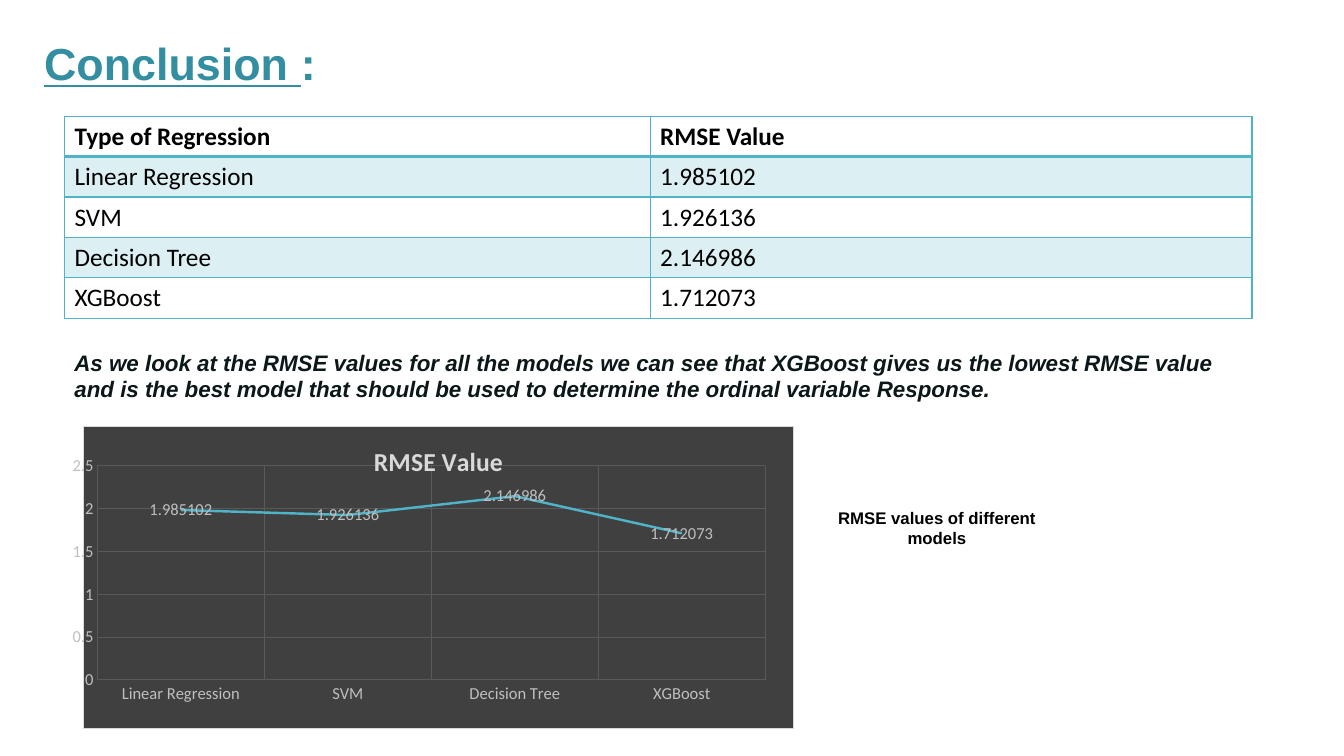
from dataclasses import dataclass

from lxml.etree import SubElement
from pptx import Presentation
from pptx.chart.data import CategoryChartData
from pptx.dml.color import RGBColor
from pptx.enum.chart import XL_CHART_TYPE as ChartType
from pptx.enum.chart import XL_LABEL_POSITION as LabelPosition
from pptx.enum.chart import XL_MARKER_STYLE as MarkerStyle
from pptx.enum.chart import XL_TICK_MARK as TickMark
from pptx.enum.text import PP_ALIGN as Align
from pptx.oxml import parse_xml
from pptx.oxml.ns import nsdecls, qn
from pptx.util import Emu, Inches, Pt

TEAL = RGBColor(0x50, 0xB4, 0xC8)
PALE_TEAL = RGBColor(0xDC, 0xF0, 0xF4)
DEEP_TEAL = RGBColor(0x32, 0x8E, 0xA0)
INK = RGBColor(0x0B, 0x17, 0x19)
BLACK = RGBColor(0, 0, 0)
CHARCOAL = RGBColor(0x40, 0x40, 0x40)
GRID_GRAY = RGBColor(0x59, 0x59, 0x59)
LABEL_GRAY = RGBColor(0xBF, 0xBF, 0xBF)
LIGHT_GRAY = RGBColor(0xD9, 0xD9, 0xD9)

COLUMNS, ROWS = 160, 90
SLIDE_WIDTH, SLIDE_HEIGHT = Inches(13.33), Inches(7.5)
MEASURE = "RMSE Value"
RMSE_BY_MODEL = {
    "Linear Regression": 1.985102,
    "SVM": 1.926136,
    "Decision Tree": 2.146986,
    "XGBoost": 1.712073,
}


def columns(count: float) -> Emu:
    return Emu(round(SLIDE_WIDTH * count / COLUMNS))


def rows(count: float) -> Emu:
    return Emu(round(SLIDE_HEIGHT * count / ROWS))


@dataclass(frozen=True)
class Area:
    left: float
    top: float
    width: float
    height: float

    def emu(self) -> tuple[Emu, Emu, Emu, Emu]:
        return columns(self.left), rows(self.top), columns(self.width), rows(self.height)


@dataclass(frozen=True)
class Style:
    size: float
    color: RGBColor
    family: str = "Arial"
    bold: bool = True
    italic: bool = False

    def apply(self, font) -> None:
        font.size, font.name = Pt(self.size), self.family
        font.bold, font.italic = self.bold, self.italic
        font.color.rgb = self.color


@dataclass(frozen=True)
class Passage:
    area: Area
    style: Style
    text: str
    underlined: str = ""
    align: Align = Align.LEFT
    spacing: float = 1.0


PASSAGES = [
    Passage(Area(4.08, 4.44, 122.4, 7.68), Style(32, DEEP_TEAL), ":",
            underlined="Conclusion ", spacing=0.9),
    Passage(Area(7.68, 40.92, 142.08, 13.32), Style(16, INK, italic=True),
            "As we look at the RMSE values for all the models we can see that XGBoost "
            "gives us the lowest RMSE value and is the best model that should be used "
            "to determine the ordinal variable Response."),
    Passage(Area(96.6, 59.88, 29.88, 6), Style(12, BLACK),
            "RMSE values of different models", align=Align.CENTER),
]
TABLE_AREA = Area(7.68, 13.85, 141.36, 24)
TABLE_COLUMNS = (69.72, 71.64)
CHART_AREA = Area(8.64, 50.76, 85.92, 36)
PLOT_SHARES = {"x": 0.02, "y": 0.13, "w": 0.94, "h": 0.71}
AXIS_STYLE = Style(12, LABEL_GRAY, "Calibri", bold=False)


def add_passage(slide, passage: Passage) -> None:
    frame = slide.shapes.add_textbox(*passage.area.emu()).text_frame
    frame.word_wrap = True
    paragraph = frame.paragraphs[0]
    paragraph.alignment, paragraph.line_spacing = passage.align, passage.spacing
    passage.style.apply(paragraph.font)
    if passage.underlined:
        heading = paragraph.add_run()
        heading.text = passage.underlined
        heading.font.underline = True
    paragraph.add_run().text = passage.text


def add_borders(cell, widths: dict[str, float]) -> None:
    properties = cell._tc.get_or_add_tcPr()
    for side, width in widths.items():
        line = SubElement(properties, qn(f"a:ln{side}"), w=str(Pt(width)))
        fill = SubElement(line, qn("a:solidFill"))
        SubElement(fill, qn("a:srgbClr"), val=str(TEAL))


def add_rmse_table(slide) -> None:
    records = [("Type of Regression", MEASURE)]
    records += [(model, str(rmse)) for model, rmse in RMSE_BY_MODEL.items()]
    table = slide.shapes.add_table(len(records), len(TABLE_COLUMNS), *TABLE_AREA.emu()).table
    for column, width in zip(table.columns, TABLE_COLUMNS):
        column.width = columns(width)
    for index, record in enumerate(records):
        table.rows[index].height = rows(TABLE_AREA.height / len(records))
        style = Style(18, BLACK, "Calibri", bold=index == 0)
        widths = {"L": 1, "R": 1, "T": 2 if index == 1 else 1, "B": 2 if index == 0 else 1}
        for cell, text in zip(table.rows[index].cells, record):
            cell.text = text
            style.apply(cell.text_frame.paragraphs[0].font)
            add_borders(cell, widths)
            if index % 2:
                cell.fill.solid()
                cell.fill.fore_color.rgb = PALE_TEAL
            else:
                cell.fill.background()


def style_axis(axis) -> None:
    AXIS_STYLE.apply(axis.tick_labels.font)
    axis.major_tick_mark = axis.minor_tick_mark = TickMark.NONE
    axis.format.line.fill.background()
    axis.has_major_gridlines = True
    gridline = axis.major_gridlines.format.line
    gridline.color.rgb, gridline.width = GRID_GRAY, Pt(0.75)


def place_plot(chart) -> None:
    plot_area = chart.element.find(f".//{qn('c:plotArea')}")
    for layout in plot_area.findall(qn("c:layout")):
        plot_area.remove(layout)
    layout = SubElement(plot_area, qn("c:layout"))
    plot_area.insert(0, layout)
    manual = SubElement(layout, qn("c:manualLayout"))
    settings = {"layoutTarget": "inner", "xMode": "edge", "yMode": "edge", **PLOT_SHARES}
    for name, value in settings.items():
        SubElement(manual, qn(f"c:{name}"), val=str(value))


def fill_chart(chart) -> None:
    background = parse_xml(
        f'<c:spPr {nsdecls("c", "a")}>'
        f'<a:solidFill><a:srgbClr val="{CHARCOAL}"/></a:solidFill>'
        f'<a:ln w="{Pt(0.75)}"><a:solidFill><a:srgbClr val="{LIGHT_GRAY}"/></a:solidFill></a:ln>'
        '</c:spPr>')
    chart.element.find(qn("c:chart")).addnext(background)


def add_rmse_chart(slide) -> None:
    rmse_data = CategoryChartData()
    rmse_data.categories = list(RMSE_BY_MODEL)
    rmse_data.add_series(MEASURE, list(RMSE_BY_MODEL.values()))
    chart = slide.shapes.add_chart(ChartType.LINE_STACKED, *CHART_AREA.emu(), rmse_data).chart
    Style(10, BLACK, "Calibri", bold=False).apply(chart.font)
    chart.has_legend = False
    chart.has_title = True
    title = chart.chart_title.text_frame
    title.text = MEASURE
    Style(18.6, LIGHT_GRAY, "Calibri").apply(title.paragraphs[0].font)
    for axis in (chart.category_axis, chart.value_axis):
        style_axis(axis)
    plot = chart.plots[0]
    plot.vary_by_categories = False
    rmse_line = plot.series[0]
    rmse_line.smooth = False
    rmse_line.marker.style = MarkerStyle.NONE
    rmse_line.format.line.color.rgb = TEAL
    rmse_line.format.line.width = Pt(1.75)
    labels = rmse_line.data_labels
    labels.show_value, labels.position = True, LabelPosition.CENTER
    AXIS_STYLE.apply(labels.font)
    place_plot(chart)
    fill_chart(chart)


def main() -> None:
    deck = Presentation()
    deck.slide_width, deck.slide_height = SLIDE_WIDTH, SLIDE_HEIGHT
    slide = deck.slides.add_slide(deck.slide_layouts[6])
    for passage in PASSAGES:
        add_passage(slide, passage)
    add_rmse_table(slide)
    add_rmse_chart(slide)
    deck.save("out.pptx")


main()
